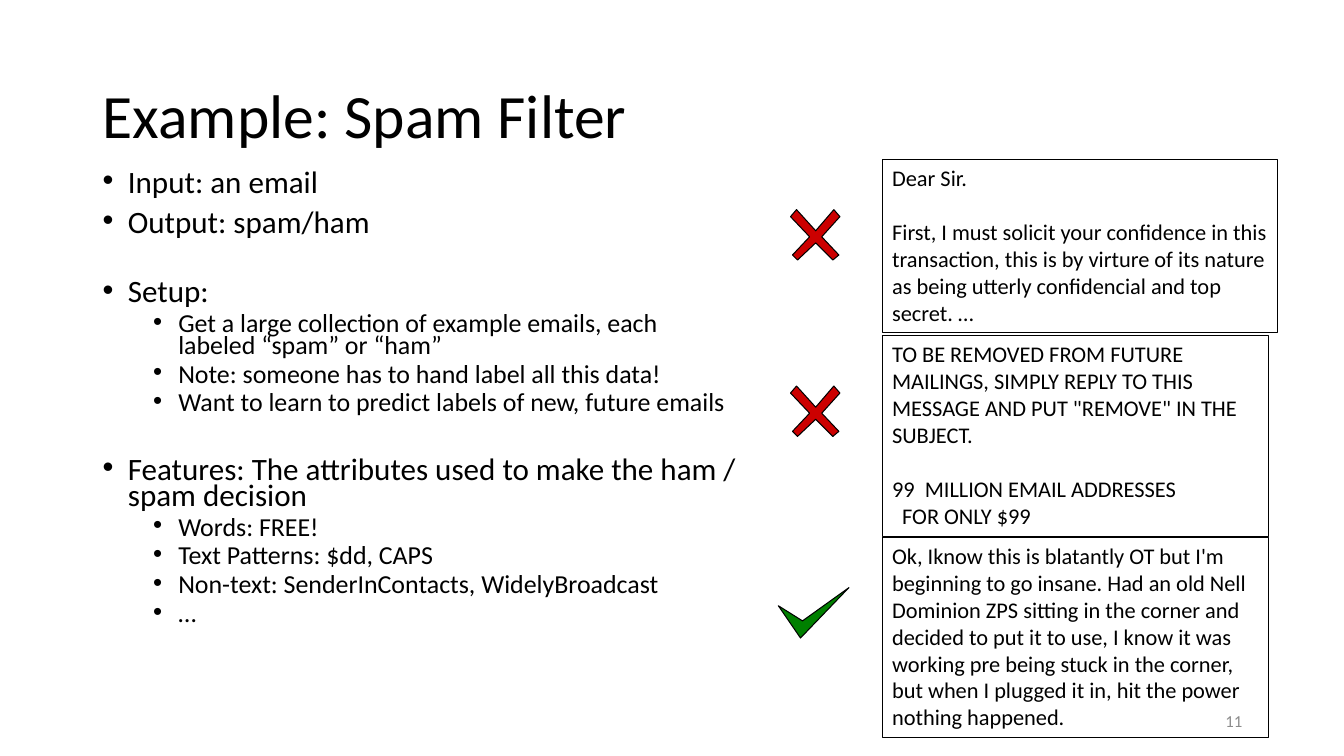
from pptx import Presentation
from pptx.dml.color import RGBColor
from pptx.enum.shapes import MSO_SHAPE as Shape
from pptx.enum.text import MSO_ANCHOR as Anchor, PP_ALIGN as Align
from pptx.oxml.ns import qn
from pptx.util import Inches, Pt
from lxml.etree import SubElement

WIDTH, HEIGHT = 13.33, 7.5
FONT = "Calibri"
COLORS = {"ink": "000000", "page": "8C8C8C", "spam": "CC0000", "ham": "008000"}

# Outlines in hundredths of an inch from the mark's top left corner
CROSS = [(0, 7), (19, 27), (2, 45), (7, 50), (25, 33), (42, 50),
         (48, 45), (31, 27), (49, 7), (43, 0), (25, 21), (6, 0)]
CHECK = [(22, 50), (70, 0), (24, 33), (0, 18)]

# Level, text, space before
POINTS = [
    (0, "Input: an email", 0),
    (0, "Output: spam/ham", 10),
    (0, "Setup:", 31),
    (1, "Get a large collection of example emails, each labeled “spam” or “ham”", 5),
    (1, "Note: someone has to hand label all this data!", 5),
    (1, "Want to learn to predict labels of new, future emails", 5),
    (0, "Features: The attributes used to make the ham / spam decision", 31),
    (1, "Words: FREE!", 5),
    (1, "Text Patterns: $dd, CAPS", 5),
    (1, "Non-text: SenderInContacts, WidelyBroadcast", 5),
    (1, "…", 5),
]
# Each mail line: text, space before, indent in inches
MAILS = [
    ((8.75, 1.58, 3.92, 1.72), [
        ("Dear Sir.", 0, 0),
        ("First, I must solicit your confidence in this transaction, this is by "
         "virture of its nature as being utterly confidencial and top secret. …", 19.5, 0),
    ]),
    ((8.75, 3.33, 3.83, 1.99), [
        ("TO BE REMOVED FROM FUTURE MAILINGS, SIMPLY REPLY TO THIS MESSAGE "
         "AND PUT \"REMOVE\" IN THE SUBJECT.", 0, 0),
        ("99  MILLION EMAIL ADDRESSES", 19.5, 0),
        ("FOR ONLY $99", 0, 0.1),
    ]),
    ((8.75, 5.33, 3.83, 1.99), [
        ("Ok, Iknow this is blatantly OT but I'm beginning to go insane. Had an old "
         "Nell Dominion ZPS sitting in the corner and decided to put it to use, I know "
         "it was working pre being stuck in the corner, but when I plugged it in, hit "
         "the power nothing happened.", 0, 0),
    ]),
]
MARKS = [
    (7.84, 2.08, CROSS, "spam"),
    (7.84, 3.83, CROSS, "spam"),
    (7.72, 5.83, CHECK, "ham"),
]


def color(name):
    return RGBColor.from_string(COLORS[name])


def style(para, size, ink="ink"):
    for run in para.runs:
        run.font.name = FONT
        run.font.size = Pt(size)
        run.font.color.rgb = color(ink)


def outline(shape):
    shape.shadow.inherit = False
    shape.line.color.rgb = color("ink")
    shape.line.width = Pt(0.75)


def add_lines(frame, count):
    """Return the frame's paragraphs, made up to the count."""
    frame.word_wrap = True
    return [frame.paragraphs[0]] + [frame.add_paragraph() for _ in range(count - 1)]


def add_label(slide, box, text, size, ink="ink", align=Align.LEFT):
    frame = slide.shapes.add_textbox(*map(Inches, box)).text_frame
    frame.word_wrap = True
    frame.vertical_anchor = Anchor.MIDDLE
    frame.text = text
    para = frame.paragraphs[0]
    para.alignment = align
    style(para, size, ink)


def add_bullet(para, level):
    props = para._p.get_or_add_pPr()
    props.set("marL", str(Inches(0.25 + 0.5 * level)))
    props.set("indent", str(Inches(-0.25)))
    SubElement(props, qn("a:buFont"), typeface="Arial")
    SubElement(props, qn("a:buChar"), char="•")


def add_points(slide, box):
    frame = slide.shapes.add_textbox(*map(Inches, box)).text_frame
    for para, (level, text, space) in zip(add_lines(frame, len(POINTS)), POINTS):
        para.text = text
        para.level = level
        add_bullet(para, level)
        para.line_spacing = 0.7
        para.space_before = Pt(space)
        style(para, 18.5 if level else 22.2)


def add_mail(slide, box, lines):
    card = slide.shapes.add_shape(Shape.RECTANGLE, *map(Inches, box))
    card.fill.background()
    outline(card)
    frame = card.text_frame
    frame.vertical_anchor = Anchor.TOP
    for para, (text, space, indent) in zip(add_lines(frame, len(lines)), lines):
        para.text = text
        para.alignment = Align.LEFT
        para.space_before = Pt(space)
        if indent:
            para._p.get_or_add_pPr().set("marL", str(Inches(indent)))
        style(para, 16)


def add_mark(slide, left, top, points, fill):
    spots = [(left * 100 + x, top * 100 + y) for x, y in points]
    pen = slide.shapes.build_freeform(*spots[0], scale=Inches(0.01))
    pen.add_line_segments(spots[1:], close=True)
    mark = pen.convert_to_shape()
    mark.fill.solid()
    mark.fill.fore_color.rgb = color(fill)
    outline(mark)


def main():
    deck = Presentation()
    deck.slide_width, deck.slide_height = Inches(WIDTH), Inches(HEIGHT)
    slide = deck.slides.add_slide(deck.slide_layouts[6])
    add_label(slide, (0.92, 0.4, 11.5, 1.45), "Example: Spam Filter", 44)
    add_points(slide, (0.92, 1.66, 6.5, 5.32))
    for box, lines in MAILS:
        add_mail(slide, box, lines)
    for mark in MARKS:
        add_mark(slide, *mark)
    add_label(slide, (9.42, 6.95, 3, 0.4), "11", 12, "page", Align.RIGHT)
    deck.save("out.pptx")


if __name__ == "__main__":
    main()
